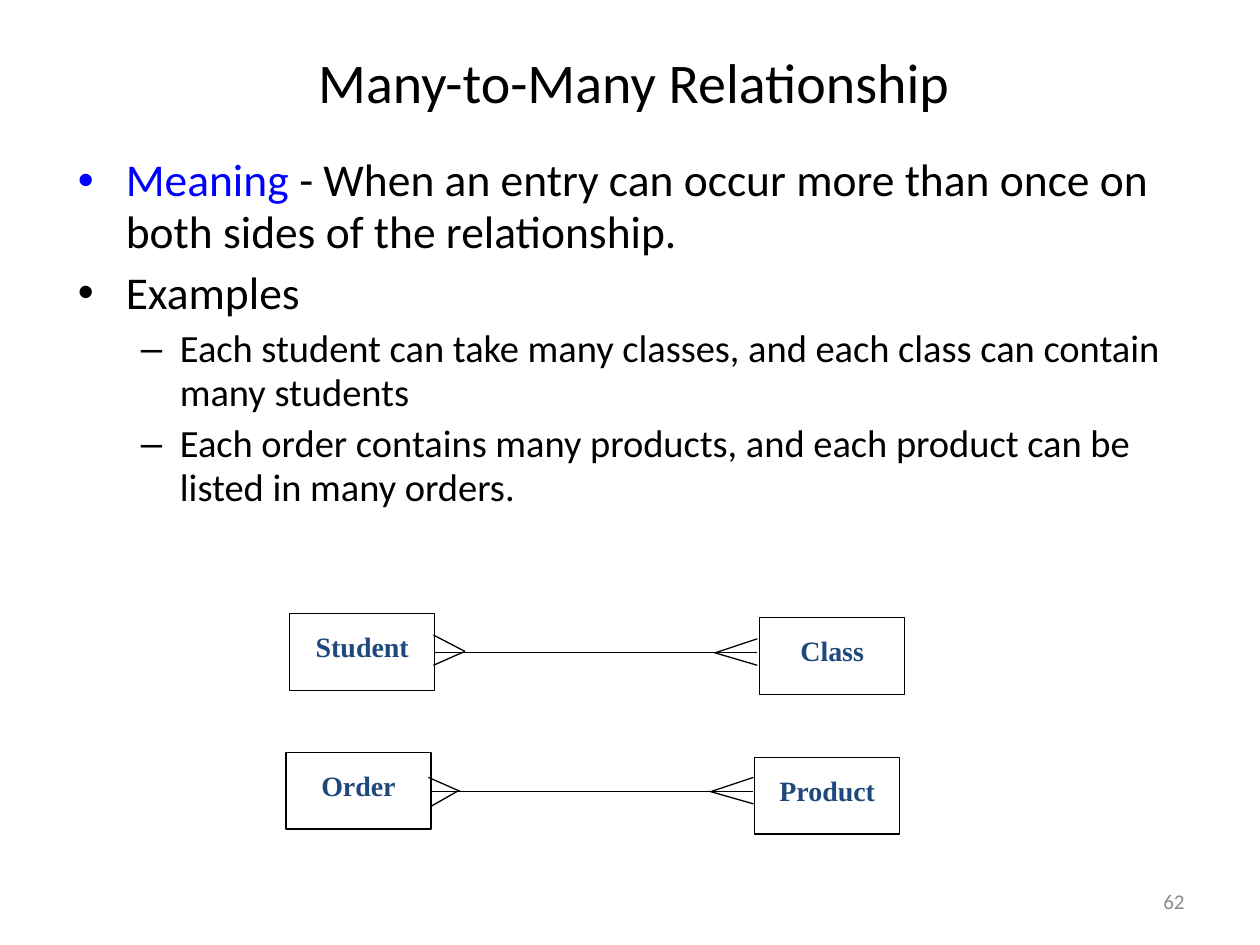
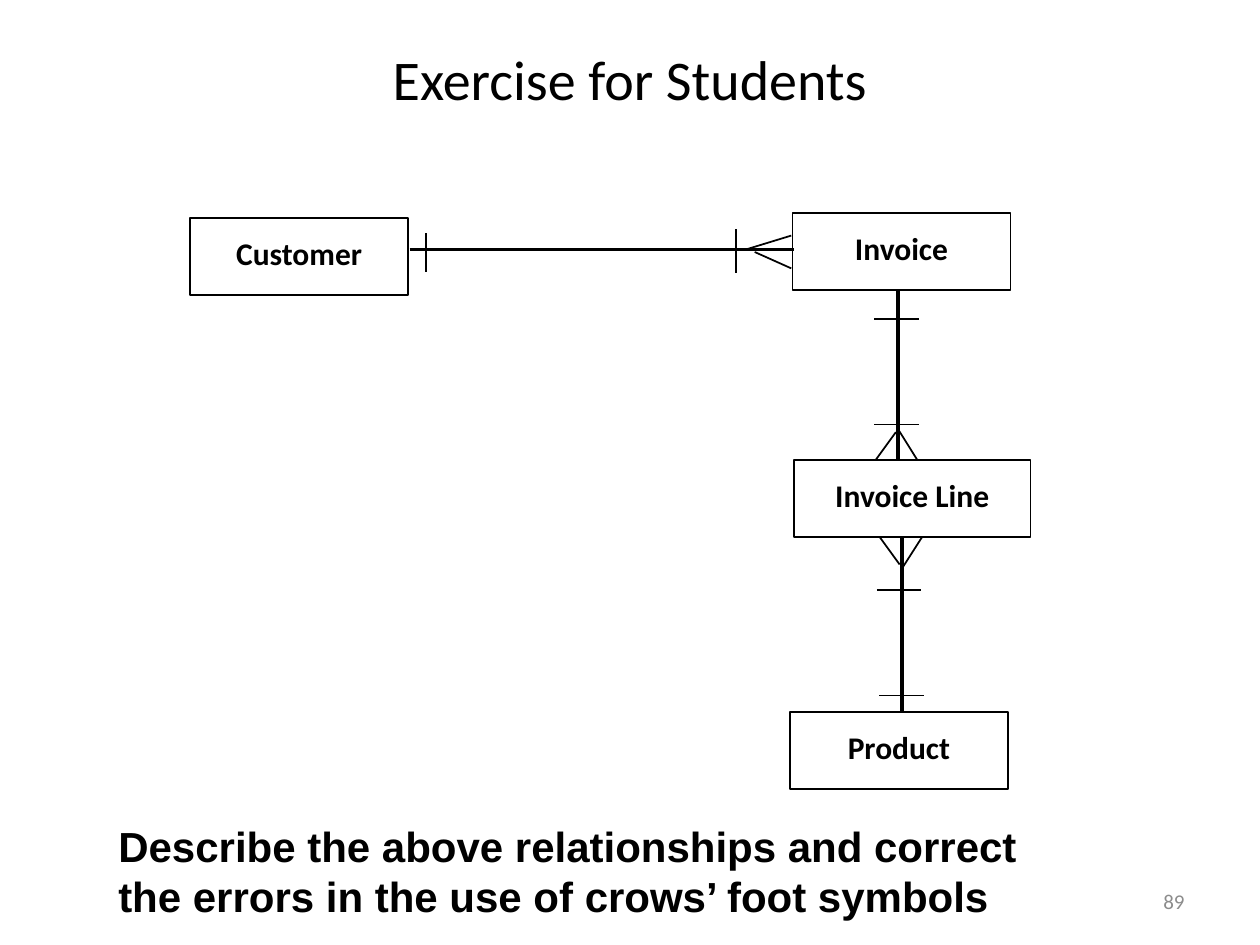
from lxml import etree
from pptx import Presentation
from pptx.dml.color import RGBColor
from pptx.enum.shapes import MSO_CONNECTOR, MSO_SHAPE
from pptx.enum.text import MSO_ANCHOR, MSO_AUTO_SIZE, PP_ALIGN
from pptx.oxml.ns import qn
from pptx.util import Pt

# Lengths: 100 px to the inch
PX = 9144
SLIDE_WIDTH, SLIDE_HEIGHT = 1000, 750
TITLE_ONLY_LAYOUT = 5

# Shared colours and enum members
BLACK = RGBColor(0x00, 0x00, 0x00)
WHITE = RGBColor(0xFF, 0xFF, 0xFF)
BLUE = RGBColor(0x00, 0x00, 0xFF)
NAVY = RGBColor(0x1F, 0x49, 0x7D)
GREY = RGBColor(0x8C, 0x8C, 0x8C)
LEFT, CENTER, RIGHT = PP_ALIGN.LEFT, PP_ALIGN.CENTER, PP_ALIGN.RIGHT
TOP, MIDDLE = MSO_ANCHOR.TOP, MSO_ANCHOR.MIDDLE
STRAIGHT, RECTANGLE = MSO_CONNECTOR.STRAIGHT, MSO_SHAPE.RECTANGLE
NO_AUTO_SIZE = MSO_AUTO_SIZE.NONE

# Shared text styles: (font attributes, colour)
TITLE_STYLE = ({"name": "Calibri", "size": Pt(32), "bold": False}, BLACK)
NUMBER_STYLE = ({"name": "Calibri", "size": Pt(12)}, GREY)
TASK_STYLE = ({"name": "Arial", "size": Pt(24), "bold": True}, BLACK)
EXAMPLE_ENTITY_STYLE = ({"name": "Times New Roman", "size": Pt(16), "bold": True}, NAVY)
EXERCISE_ENTITY_STYLE = ({"name": "Calibri", "size": Pt(18), "bold": True}, BLACK)

# Bullet levels: text size, left margin, hanging indent, bullet character
BULLET_LEVELS = [(26, 38, 38, "•"), (22, 81, 31, "–")]
ENTITY_HEIGHT = 61
THIN, MEDIUM, THICK = 0.75, 1, 2.25

# Many-to-many slide
DEFINITION = [
    (0, [("Meaning", BLUE),
         (" - When an entry can occur more than once on both sides of the relationship.", BLACK)]),
    (0, [("Examples", BLACK)]),
    (1, [("Each student can take many classes, and each class can contain many students", BLACK)]),
    (1, [("Each order contains many products, and each product can be listed in many orders.", BLACK)]),
]
EXAMPLE_ENTITIES = [("Student", 230, 487, 115), ("Class", 603, 490, 115),
                    ("Order", 227, 597, 115), ("Product", 599, 601, 115)]
EXAMPLE_LINKS = [(345, 518, 601, 518), (342, 628, 598, 628)]
EXAMPLE_CROWS_FEET = [
    (568, 518, 601, 507), (567, 518, 601, 528),
    (369, 517, 344, 504), (369, 517, 344, 528),
    (565, 628, 598, 617), (563, 628, 598, 638),
    (365, 628, 340, 617), (363, 628, 342, 640),
]

# Exercise slide
EXERCISE_ENTITIES = [("Customer", 151, 173, 173), ("Invoice", 629, 169, 173),
                     ("Invoice Line", 630, 365, 188), ("Product", 627, 565, 173)]
EXERCISE_LINKS = [(325, 198, 630, 198), (713, 230, 713, 365), (716, 427, 716, 565)]
EXERCISE_CROWS_FEET = [
    (592, 198, 628, 187), (599, 200, 628, 213),
    (711, 343, 695, 365), (713, 341, 728, 365),
    (714, 448, 698, 426), (716, 451, 732, 426),
]
EXERCISE_ONE_BARS = [
    (338, 185, 338, 216), (584, 182, 584, 217),
    (694, 253, 729, 253), (694, 337, 729, 337),
    (696, 468, 731, 468), (698, 552, 733, 552),
]


def set_attributes(target, values):
    for name, value in values.items():
        setattr(target, name, value)


def scaled(*lengths):
    return [length * PX for length in lengths]


def format_frame(frame, anchor=TOP, top=5, bottom=5):
    set_attributes(frame, {
        "word_wrap": True, "auto_size": NO_AUTO_SIZE, "vertical_anchor": anchor,
        "margin_left": 10 * PX, "margin_right": 10 * PX,
        "margin_top": top * PX, "margin_bottom": bottom * PX,
    })


def add_run(paragraph, text, style):
    attributes, colour = style
    run = paragraph.add_run()
    run.text = text
    set_attributes(run.font, attributes)
    run.font.color.rgb = colour


def write_line(frame, text, style, alignment):
    paragraph = frame.paragraphs[0]
    paragraph.alignment = alignment
    add_run(paragraph, text, style)


def add_label(slide, text, box, style, alignment=LEFT, anchor=TOP):
    frame = slide.shapes.add_textbox(*scaled(*box)).text_frame
    format_frame(frame, anchor)
    write_line(frame, text, style, alignment)


def add_titled_slide(presentation, title, title_box, number):
    slide = presentation.slides.add_slide(presentation.slide_layouts[TITLE_ONLY_LAYOUT])
    shape = slide.shapes.title
    set_attributes(shape, dict(zip(("left", "top", "width", "height"), scaled(*title_box))))
    format_frame(shape.text_frame, MIDDLE)
    write_line(shape.text_frame, title, TITLE_STYLE, CENTER)
    add_label(slide, number, (717, 695, 233, 40), NUMBER_STYLE, RIGHT, MIDDLE)
    return slide


def add_bullets(slide, box, items):
    frame = slide.shapes.add_textbox(*scaled(*box)).text_frame
    format_frame(frame)
    for index, (level, runs) in enumerate(items):
        size, margin, hanging, character = BULLET_LEVELS[level]
        paragraph = frame.add_paragraph() if index else frame.paragraphs[0]
        set_attributes(paragraph, {
            "level": level, "line_spacing": 0.95,
            "space_before": Pt(size * 0.2 if index else 0),
        })
        properties = paragraph._p.get_or_add_pPr()
        properties.set("marL", str(margin * PX))
        properties.set("indent", str(-hanging * PX))
        etree.SubElement(properties, qn("a:buFont")).set("typeface", "Arial")
        etree.SubElement(properties, qn("a:buChar")).set("char", character)
        for text, colour in runs:
            add_run(paragraph, text, ({"name": "Calibri", "size": Pt(size)}, colour))


def add_entity(slide, name, left, top, width, style, line_width, bottom_margin):
    shape = slide.shapes.add_shape(RECTANGLE, *scaled(left, top, width, ENTITY_HEIGHT))
    shape.shadow.inherit = False
    shape.fill.solid()
    shape.fill.fore_color.rgb = WHITE
    shape.line.color.rgb = BLACK
    shape.line.width = Pt(line_width)
    format_frame(shape.text_frame, TOP, 13, bottom_margin)
    write_line(shape.text_frame, name, style, CENTER)


def add_lines(slide, lines, width):
    for ends in lines:
        connector = slide.shapes.add_connector(STRAIGHT, *scaled(*ends))
        connector.line.color.rgb = BLACK
        connector.line.width = Pt(width)
        etree.SubElement(connector._element.spPr, qn("a:effectLst"))


def build_many_to_many(presentation):
    slide = add_titled_slide(presentation, "Many-to-Many Relationship", (50, 25, 906, 78), "62")
    add_bullets(slide, (52, 118, 910, 596), DEFINITION)
    for entity in EXAMPLE_ENTITIES:
        add_entity(slide, *entity, EXAMPLE_ENTITY_STYLE, THIN, 5)
    add_lines(slide, EXAMPLE_LINKS + EXAMPLE_CROWS_FEET, THIN)


def build_exercise(presentation):
    slide = add_titled_slide(presentation, "Exercise for Students", (50, 30, 900, 64), "89")
    for entity in EXERCISE_ENTITIES:
        add_entity(slide, *entity, EXERCISE_ENTITY_STYLE, MEDIUM, 13)
    add_lines(slide, EXERCISE_LINKS, THICK)
    add_lines(slide, EXERCISE_CROWS_FEET + EXERCISE_ONE_BARS, MEDIUM)
    add_label(slide, "Describe the above relationships and correct the errors "
              "in the use of crows’ foot symbols", (84, 646, 762, 91), TASK_STYLE)


def main():
    presentation = Presentation()
    presentation.slide_width, presentation.slide_height = scaled(SLIDE_WIDTH, SLIDE_HEIGHT)
    build_many_to_many(presentation)
    build_exercise(presentation)
    presentation.save("out.pptx")


if __name__ == "__main__":
    main()
